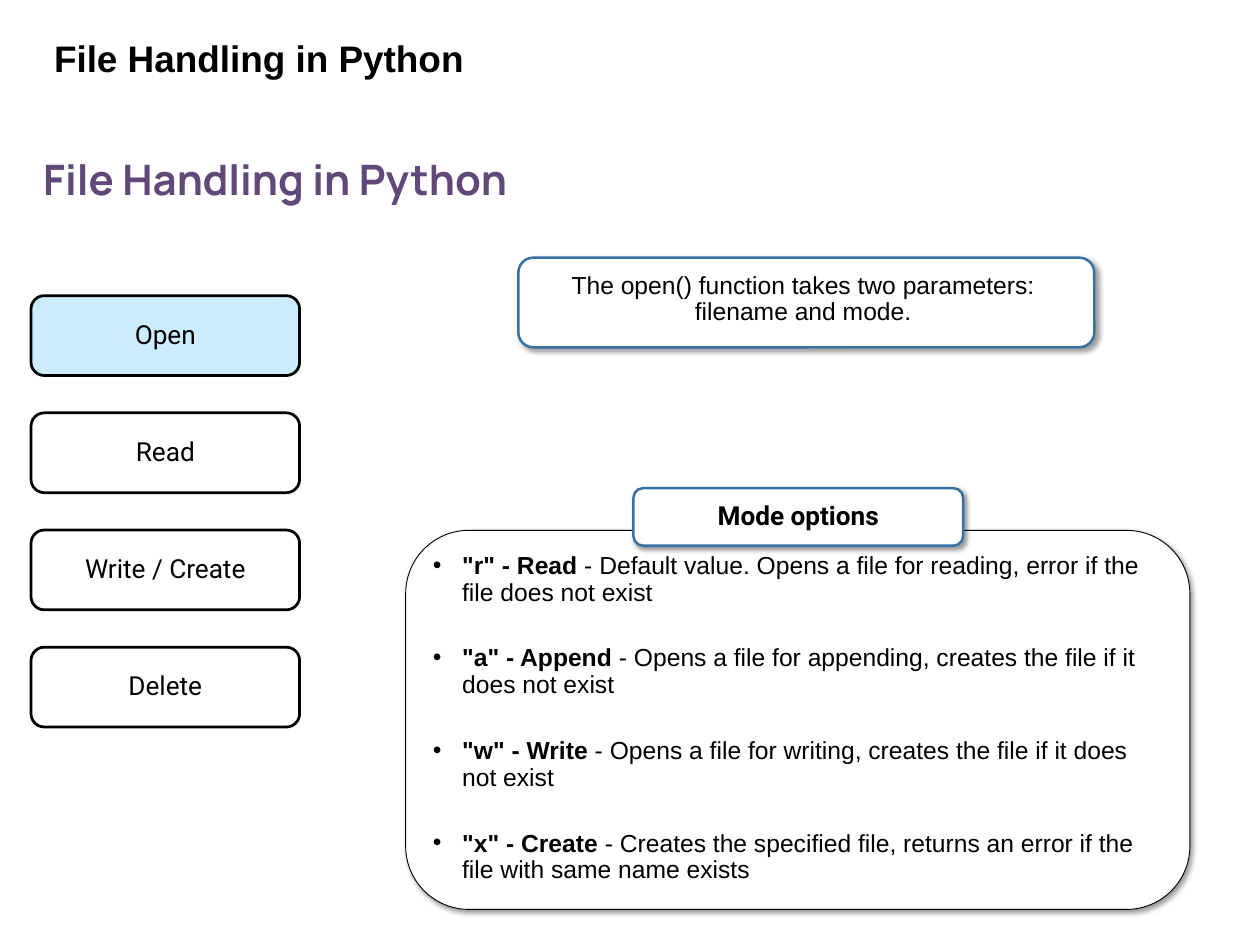
import pptx
import pptx.util
import pptx.dml.color
import pptx.enum.shapes
import pptx.enum.text
import pptx.oxml
import pptx.oxml.ns
from pptx.util import Cm

COLOURS = {
    "black": "000000",
    "white": "FFFFFF",
    "active": "CCECFF",
    "frame": "3771A1",
    "heading": "604878",
}
OPERATIONS = ["Open", "Read", "Write / Create", "Delete"]
MODES = [
    ('"r" - Read ', "- Default value. Opens a file for reading, error if the file does not exist"),
    ('"a" - Append ', "- Opens a file for appending, creates the file if it does not exist"),
    ('"w" - Write ', "- Opens a file for writing, creates the file if it does not exist"),
    ('"x" - Create ', "- Creates the specified file, returns an error if the file with same name exists"),
]
LEFT = pptx.enum.text.PP_ALIGN.LEFT
CENTER = pptx.enum.text.PP_ALIGN.CENTER
TOP = pptx.enum.text.MSO_ANCHOR.TOP
MIDDLE = pptx.enum.text.MSO_ANCHOR.MIDDLE


def colour(name):
    return pptx.dml.color.RGBColor.from_string(COLOURS[name])


def format_run(run, font_name, size, bold=False, ink="black"):
    run.font.name = font_name
    run.font.size = pptx.util.Pt(size)
    run.font.bold = bold
    run.font.color.rgb = colour(ink)


def write(shape, text, font_name, size, bold=False, ink="black", align=CENTER, anchor=MIDDLE, spacing=0.9):
    frame = shape.text_frame
    frame.word_wrap = True
    frame.vertical_anchor = anchor
    frame.text = text
    paragraph = frame.paragraphs[0]
    paragraph.alignment = align
    paragraph.line_spacing = spacing
    format_run(paragraph.runs[0], font_name, size, bold, ink)


def add_shadow(shape):
    effects = shape.element.spPr.find(pptx.oxml.ns.qn("a:effectLst"))
    effects.append(pptx.oxml.parse_xml(
        f'<a:outerShdw {pptx.oxml.ns.nsdecls("a")} blurRad="{pptx.util.Pt(4)}" '
        f'dist="{pptx.util.Pt(3)}" dir="2700000" algn="tl" rotWithShape="0">'
        f'<a:srgbClr val="{COLOURS["black"]}"><a:alpha val="40000"/></a:srgbClr></a:outerShdw>'
    ))


def add_box(slide, bounds, line, width, fill="white", shadow=False):
    box = slide.shapes.add_shape(
        pptx.enum.shapes.MSO_SHAPE.ROUNDED_RECTANGLE, *map(Cm, bounds))
    box.fill.solid()
    box.fill.fore_color.rgb = colour(fill)
    box.line.color.rgb = colour(line)
    box.line.width = pptx.util.Pt(width)
    box.shadow.inherit = False
    if shadow:
        add_shadow(box)
    return box


def add_label(slide, bounds, text, font_name, size, **style):
    label = slide.shapes.add_textbox(*map(Cm, bounds))
    write(label, text, font_name, size, **style)
    return label


def add_bullet(paragraph):
    properties = paragraph._p.get_or_add_pPr()
    properties.set("marL", str(Cm(0.84)))
    properties.set("indent", str(-Cm(0.84)))
    for tag in ('buFont {} typeface="Arial"', 'buChar {} char="•"'):
        properties.append(pptx.oxml.parse_xml(
            f'<a:{tag.format(pptx.oxml.ns.nsdecls("a"))}/>'))


def add_operations(slide):
    for index, operation in enumerate(OPERATIONS):
        fill = "active" if index == 0 else "white"
        button = add_box(slide, (0.89, 8.48 + index * 3.36, 7.7, 2.29), "black", 2.25, fill)
        write(button, operation, "Roboto", 21.3)


def add_mode_panel(slide):
    panel = add_box(slide, (11.63, 15.21, 22.48, 10.87), "black", 0.75, shadow=True)
    frame = panel.text_frame
    frame.word_wrap = True
    frame.vertical_anchor = TOP
    for index, (mode, meaning) in enumerate(MODES):
        paragraph = frame.add_paragraph() if index else frame.paragraphs[0]
        paragraph.alignment = LEFT
        paragraph.line_spacing = 0.9
        if index:
            paragraph.space_before = pptx.util.Pt(32)
        add_bullet(paragraph)
        for text, bold in ((mode, True), (meaning, False)):
            run = paragraph.add_run()
            run.text = text
            format_run(run, "Arial", 20, bold)


def main():
    deck = pptx.Presentation()
    deck.slide_width = Cm(36.12)
    deck.slide_height = Cm(27.1)
    slide = deck.slides.add_slide(deck.slide_layouts[6])

    heading = add_label(slide, (1.24, 3.99, 25.65, 2.29), "File Handling in Python",
                        "Manrope", 34.1, bold=True, ink="heading", align=LEFT, spacing=1.0)
    heading.text_frame.margin_left = 0
    add_operations(slide)
    add_box(slide, (14.86, 7.39, 16.51, 2.57), "frame", 2, shadow=True)
    add_mode_panel(slide)
    mode_title = add_box(slide, (18.16, 14, 9.45, 1.65), "frame", 2, shadow=True)
    write(mode_title, "Mode options", "Roboto", 21.3, bold=True)
    add_label(slide, (1.3, 1.04, 17.32, 1.42), "File Handling in Python",
              "Arial", 30, bold=True, align=LEFT, anchor=TOP)
    add_label(slide, (15.9, 7.7, 14.25, 1.8),
              "The open() function takes two parameters: filename and mode.",
              "Arial", 20, anchor=TOP)
    deck.save("out.pptx")


if __name__ == "__main__":
    main()
